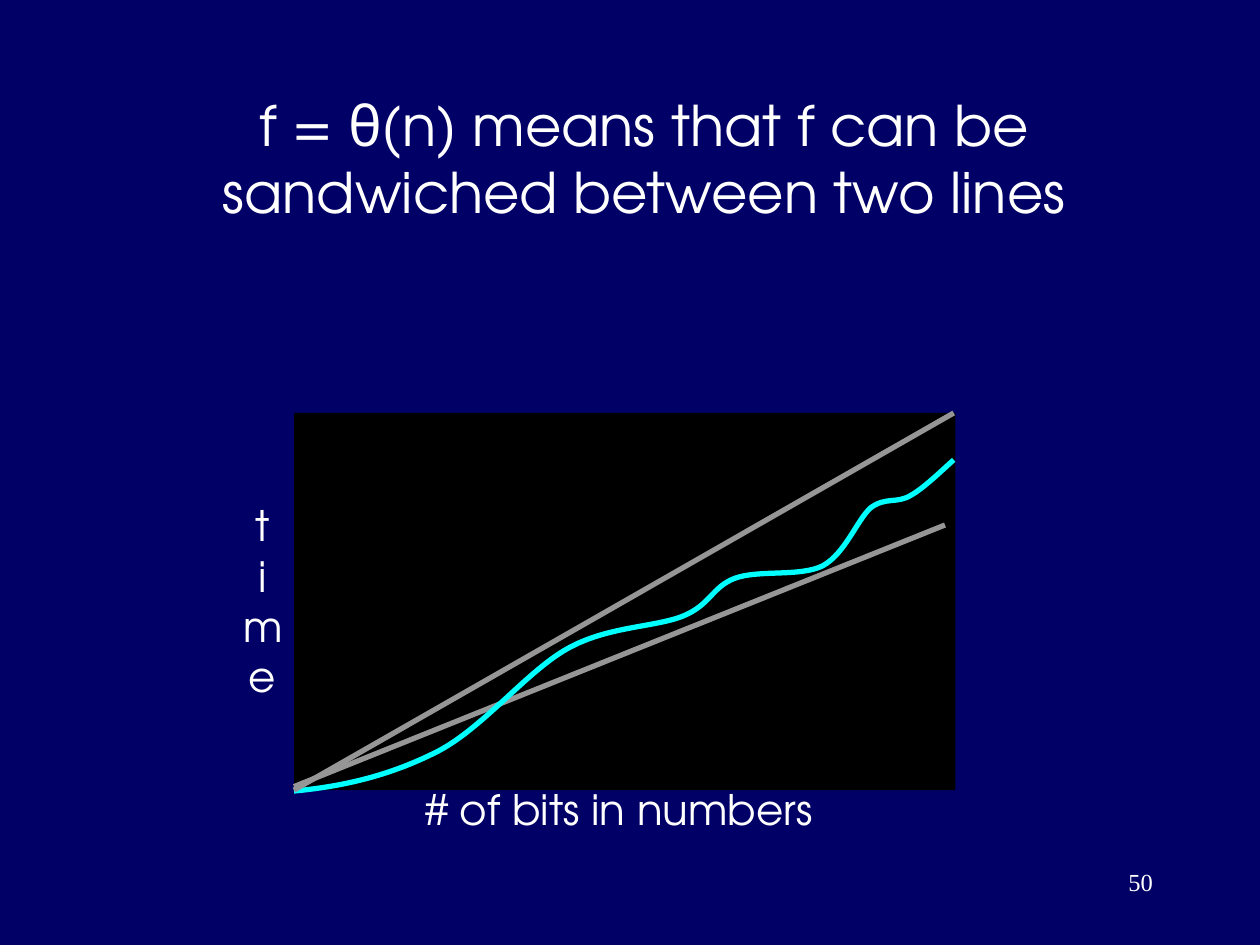
"""Build the slide showing a function sandwiched between two lines."""
from lxml import etree
from pptx import Presentation
from pptx import util as u
from pptx.dml.color import RGBColor
from pptx.enum import shapes, text
from pptx.oxml import ns

THEME = {
    "background": "000066", "plot": "000000", "bound": "969696",
    "curve": "00FFFF", "text": "FFFFFF",
    "sans": "TeX Gyre Adventor", "greek": "Comic Neue", "serif": "Times New Roman",
    "title_size": 32, "label_size": 24, "number_size": 14, "line_width": 3,
}
CENTER, RIGHT = text.PP_ALIGN.CENTER, text.PP_ALIGN.RIGHT

TITLE = [("f = ", "sans"), ("θ", "greek"),
         ("(n) means that f can be sandwiched between two lines", "sans")]
TITLE_AREA = (90, 48, 556.5, 102)
PLOT_AREA = (168, 236, 378, 215.5)
LABELS = [
    ("# of bits in numbers", (233, 444, 241.5, 36), CENTER, "sans", "label_size", False),
    ("t\vime", (132, 282, 36, 122.5), CENTER, "sans", "label_size", True),
    ("50", (516, 492, 150, 36), RIGHT, "serif", "number_size", True),
]
LOWER_BOUND = (168, 449.5, 540, 300)
UPPER_BOUND = (168, 451.5, 545, 236)
CURVE_START = (168, 452)
CURVE_SEGMENTS = [
    [(197.3, 449.3), (223.9, 442.8), (250.6, 429.1)],
    [(276.5, 415.4), (301, 383.8), (324, 370.8)],
    [(347, 357.8), (373.7, 358.6), (390.2, 352.1)],
    [(406.1, 345.6), (406.8, 335.5), (419.8, 330.5)],
    [(433.4, 325.4), (457.2, 329.8), (470.2, 323.3)],
    [(483.1, 316.1), (489.6, 297.4), (497.5, 290.2)],
    [(506.2, 283.7), (512.6, 288), (520.6, 283)],
    [(528.5, 278.6), (540, 267.1), (545, 262.8)],
]


def points(values):
    return [u.Pt(value) for value in values]


def color(name):
    return RGBColor.from_string(THEME[name])


def style_span(span, font, size):
    span.font.name = THEME[font]
    span.font.size = u.Pt(THEME[size])
    span.font.color.rgb = color("text")


def style_frame(frame, wrap):
    frame.word_wrap = wrap
    frame.auto_size = text.MSO_AUTO_SIZE.NONE
    frame.vertical_anchor = text.MSO_ANCHOR.TOP


def style_line(line, name):
    line.color.rgb = color(name)
    line.width = u.Pt(THEME["line_width"])


def add_title(page):
    title = page.shapes.title
    title.left, title.top, title.width, title.height = points(TITLE_AREA)
    style_frame(title.text_frame, True)
    para = title.text_frame.paragraphs[0]
    para.alignment = CENTER
    for words, font in TITLE:
        span = para.add_run()
        span.text = words
        style_span(span, font, "title_size")


def add_label(page, words, area, align, font, size, wrap):
    box = page.shapes.add_textbox(*points(area))
    style_frame(box.text_frame, wrap)
    para = box.text_frame.paragraphs[0]
    para.text = words
    para.alignment = align
    for span in para.runs:
        style_span(span, font, size)


def add_plot(page):
    plot = page.shapes.add_shape(shapes.MSO_SHAPE.RECTANGLE, *points(PLOT_AREA))
    plot.shadow.inherit = False
    plot.fill.solid()
    plot.fill.fore_color.rgb = color("plot")
    plot.line.fill.background()


def add_bound(page, ends):
    bound = page.shapes.add_connector(shapes.MSO_CONNECTOR.STRAIGHT, *points(ends))
    style_line(bound.line, "bound")
    etree.SubElement(bound.element.spPr, ns.qn("a:effectLst"))


def add_curve(page):
    builder = page.shapes.build_freeform(*points(CURVE_START))
    builder.add_line_segments(
        [points(point) for segment in CURVE_SEGMENTS for point in segment], close=False)
    curve = builder.convert_to_shape()
    curve.shadow.inherit = False
    curve.fill.background()
    style_line(curve.line, "curve")
    steps = list(curve.element.iter(ns.qn("a:lnTo")))
    outline = steps[0].getparent()
    for first in range(0, len(steps), 3):
        bezier = etree.SubElement(outline, ns.qn("a:cubicBezTo"))
        for step in steps[first:first + 3]:
            bezier.append(step[0])
            outline.remove(step)


def main():
    deck = Presentation()
    deck.slide_width, deck.slide_height = points((720, 540))
    page = deck.slides.add_slide(deck.slide_layouts.get_by_name("Title Only"))
    page.background.fill.solid()
    page.background.fill.fore_color.rgb = color("background")
    add_title(page)
    add_plot(page)
    for label in LABELS:
        add_label(page, *label)
    add_bound(page, LOWER_BOUND)
    add_curve(page)
    add_bound(page, UPPER_BOUND)
    deck.save("out.pptx")


if __name__ == "__main__":
    main()
